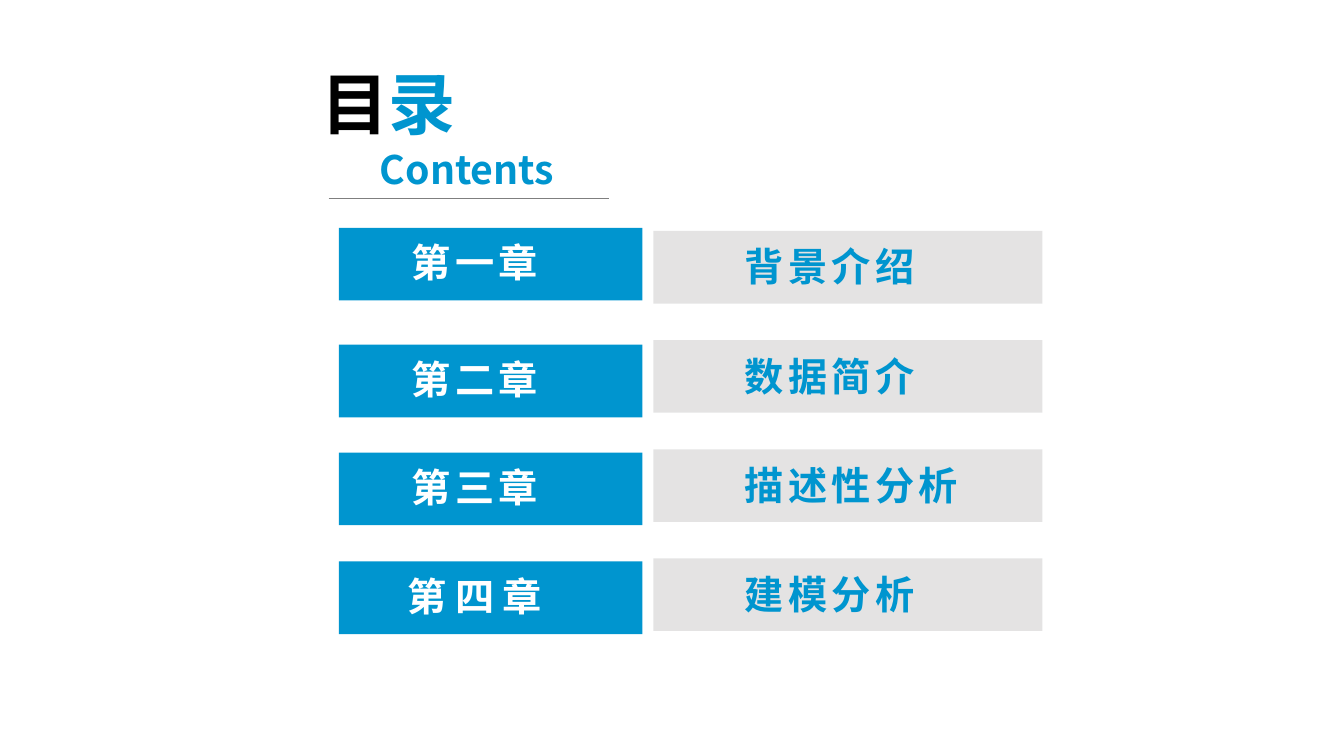
"""Draws a contents slide: a heading over four chapter rows."""
from dataclasses import dataclass

from lxml.etree import SubElement
from pptx import Presentation
from pptx.dml.color import RGBColor
from pptx.enum.shapes import MSO_CONNECTOR, MSO_SHAPE
from pptx.enum.text import MSO_AUTO_SIZE, PP_ALIGN
from pptx.oxml.ns import qn
from pptx.shapes.shapetree import GroupShapes
from pptx.text.text import _Paragraph
from pptx.util import Inches, Pt

BLUE = RGBColor(0x00, 0x95, 0xCF)
GREY = RGBColor(0xD0, 0xCE, 0xCE)
RULE = RGBColor(0x7F, 0x7F, 0x7F)
BLACK = RGBColor(0, 0, 0)
WHITE = RGBColor(0xFF, 0xFF, 0xFF)
WIDE, HIGH = Inches(13.33), Inches(7.5)
FACE = "Noto Sans CJK JP"
LATIN = "Noto Sans CJK SC"
FIRST, STEP = 30.55, 14.44


@dataclass(frozen=True)
class Box:
    """A frame in percent of the slide's size."""
    left: float
    top: float
    width: float
    height: float

    def frame(self) -> tuple[int, int, int, int]:
        """Give the frame in slide units."""
        return (across(self.left), down(self.top),
                across(self.width), down(self.height))


@dataclass(frozen=True)
class Style:
    """The look of one column of bars, in percent and points."""
    left: float
    width: float
    inset: float
    drop: float
    span: float
    fill: RGBColor
    ink: RGBColor
    align: PP_ALIGN
    alpha: int = 100


@dataclass(frozen=True)
class Row:
    """A chapter, its topic, and the place and tracking of its label."""
    label: str
    topic: str
    top: float
    track: int = 3


TOPIC = Style(48.61, 28.96, 6.08, 0.9, 21.61, GREY, BLUE, PP_ALIGN.LEFT, 56)
LABEL = Style(25.21, 22.58, 1.95, 0.75, 16.35, BLUE, WHITE, PP_ALIGN.CENTER)
ROWS = (
    Row("第一章", "背景介绍", 30.13),
    Row("第二章", "数据简介", 45.6),
    Row("第三章", "描述性分析", 59.87),
    Row("第四章", "建模分析", 74.27, 6),
)


def across(share: float) -> int:
    """Turn a percentage of the width into slide units."""
    return round(WIDE * share / 100)


def down(share: float) -> int:
    """Turn a percentage of the height into slide units."""
    return round(HIGH * share / 100)


def write(shapes: GroupShapes, box: Box, text: str, size: int, ink: RGBColor,
          face: str = FACE, align: PP_ALIGN = PP_ALIGN.LEFT,
          track: int = 0) -> _Paragraph:
    """Add a bold line of text and return its paragraph."""
    frame = shapes.add_textbox(*box.frame()).text_frame
    frame.word_wrap = True
    frame.auto_size = MSO_AUTO_SIZE.SHAPE_TO_FIT_TEXT
    line = frame.paragraphs[0]
    line.alignment = align
    line.add_run().text = text
    font = line.font
    font.size, font.bold, font.name = Pt(size), True, face
    font.color.rgb = ink
    props = line._p.pPr.find(qn("a:defRPr"))
    SubElement(props, qn("a:ea")).set("typeface", face)
    if track:
        props.set("spc", str(track * 100))
    return line


def draw_bar(shapes: GroupShapes, style: Style, top: float, text: str,
             track: int = 3) -> None:
    """Add a filled bar with its text."""
    box = Box(style.left, top, style.width, 9.6)
    bar = shapes.add_shape(MSO_SHAPE.RECTANGLE, *box.frame())
    bar.shadow.inherit = False
    bar.line.fill.background()
    bar.fill.solid()
    bar.fill.fore_color.rgb = style.fill
    if style.alpha < 100:
        tint = bar._element.spPr.find(qn("a:solidFill"))[0]
        SubElement(tint, qn("a:alpha")).set("val", str(style.alpha * 1000))
    area = Box(style.left + style.inset, top + style.drop, style.span, 7.7)
    write(shapes, area, text, 28, style.ink, align=style.align, track=track)


def draw_head(shapes: GroupShapes) -> None:
    """Add the two-tone heading, its rule and its subtitle."""
    title = write(shapes, Box(23.18, 7.6, 11.78, 18.27), "目", 48, BLACK)
    last = title.add_run()
    last.text = "录"
    last.font.color.rgb = BLUE
    level = down(26.27)
    rule = shapes.add_connector(MSO_CONNECTOR.STRAIGHT, across(24.46), level,
                                across(45.31), level)
    rule.line.color.rgb = RULE
    rule.line.width = Pt(0.5)
    SubElement(rule._element.spPr, qn("a:effectLst"))
    write(shapes, Box(27.53, 18.53, 15.83, 7.6), "Contents", 28, BLUE, LATIN)


def main() -> None:
    """Build and save the slide."""
    deck = Presentation()
    deck.slide_width, deck.slide_height = WIDE, HIGH
    slide = deck.slides.add_slide(deck.slide_layouts[6])
    for index, row in enumerate(ROWS):
        topic = slide.shapes.add_group_shape().shapes
        draw_bar(topic, TOPIC, FIRST + index * STEP, row.topic)
        label = slide.shapes.add_group_shape().shapes
        draw_bar(label, LABEL, row.top, row.label, row.track)
    draw_head(slide.shapes.add_group_shape().shapes)
    deck.save("out.pptx")


if __name__ == "__main__":
    main()
